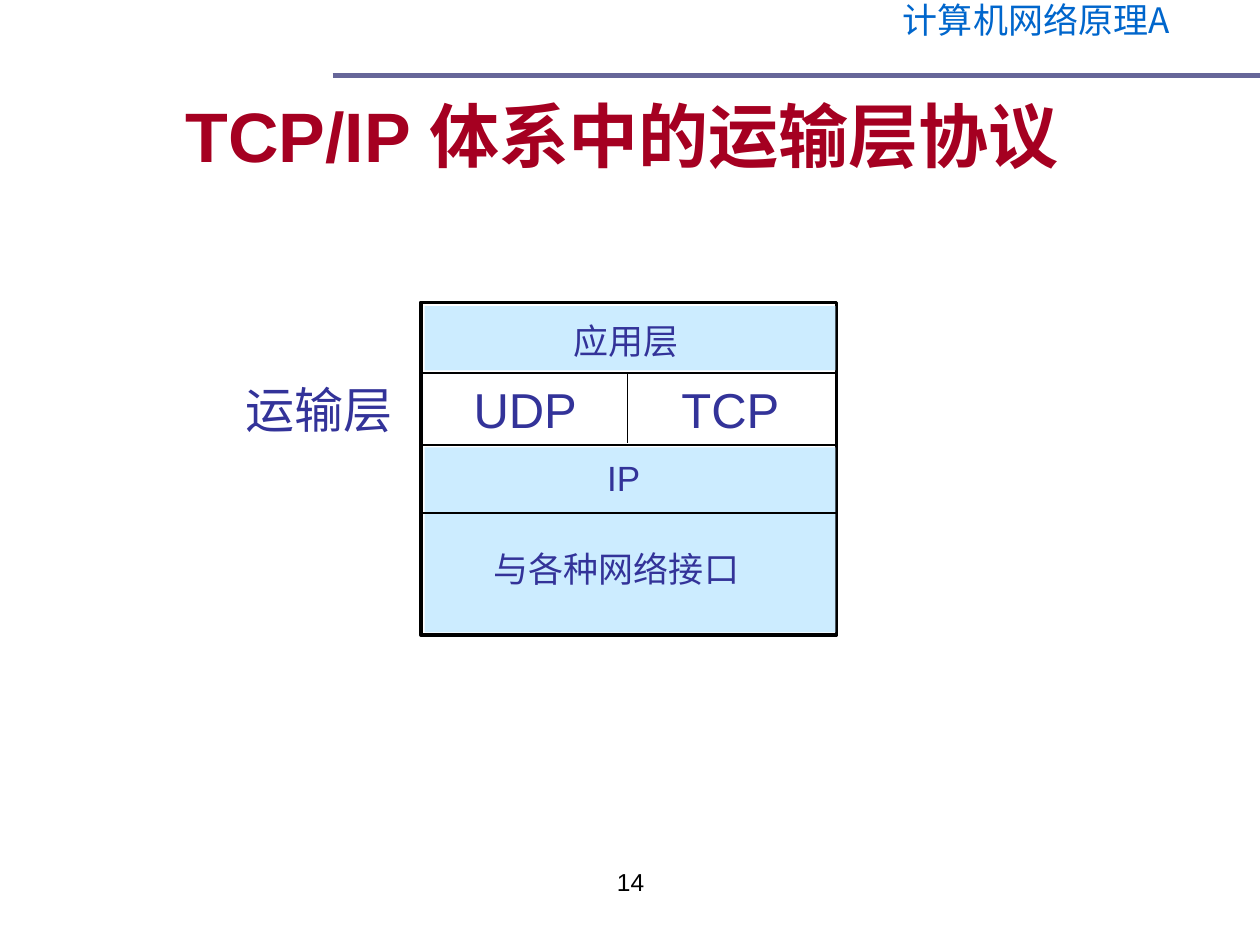
from dataclasses import dataclass
from typing import Optional

from lxml.etree import SubElement
from pptx import Presentation
from pptx.dml.color import RGBColor
from pptx.enum.shapes import MSO_CONNECTOR, MSO_SHAPE
from pptx.enum.text import MSO_ANCHOR as Anchor, PP_ALIGN as Align
from pptx.oxml.ns import qn
from pptx.slide import Slide
from pptx.util import Inches, Pt

PALE_BLUE = "CCECFF"
INDIGO = "333399"
CJK_FONT = "Noto Sans CJK SC"
STACK_LEFT, STACK_RIGHT = 3.34, 6.64
STACK_TOP, STACK_HEIGHT = 2.4, 2.64


@dataclass
class Label:
    words: str
    left: float
    top: float
    width: float
    height: float
    size: float = 20
    color: str = INDIGO
    font: str = "Arial"
    bold: bool = False
    align: Align = Align.LEFT
    anchor: Anchor = Anchor.TOP
    wrap: bool = False
    line_spacing: Optional[float] = None


@dataclass
class Panel:
    left: float
    top: float
    width: float
    height: float
    fill: str = PALE_BLUE
    border: Optional[str] = None


@dataclass
class Rule:
    x1: float
    y1: float
    x2: float
    y2: float
    color: str = "000000"
    weight: float = 1


def rgb(color: str) -> RGBColor:
    return RGBColor.from_string(color)


def draw_label(slide: Slide, label: Label) -> None:
    box = slide.shapes.add_textbox(Inches(label.left), Inches(label.top),
                                   Inches(label.width), Inches(label.height))
    frame = box.text_frame
    frame.word_wrap = label.wrap
    frame.vertical_anchor = label.anchor
    para = frame.paragraphs[0]
    para.alignment = label.align
    para.line_spacing = label.line_spacing
    span = para.add_run()
    span.text = label.words
    font = span.font
    font.size = Pt(label.size)
    font.bold = label.bold
    font.color.rgb = rgb(label.color)
    font.name = label.font
    SubElement(span._r.get_or_add_rPr(), qn("a:ea"), typeface=CJK_FONT)


def draw_panel(slide: Slide, panel: Panel) -> None:
    shape = slide.shapes.add_shape(MSO_SHAPE.RECTANGLE, Inches(panel.left), Inches(panel.top),
                                   Inches(panel.width), Inches(panel.height))
    shape.shadow.inherit = False
    shape.fill.solid()
    shape.fill.fore_color.rgb = rgb(panel.fill)
    if panel.border:
        shape.line.color.rgb = rgb(panel.border)
        shape.line.width = Pt(2)
    else:
        shape.line.fill.background()


def draw_rule(slide: Slide, rule: Rule) -> None:
    line = slide.shapes.add_connector(MSO_CONNECTOR.STRAIGHT, Inches(rule.x1), Inches(rule.y1),
                                      Inches(rule.x2), Inches(rule.y2))
    line.line.color.rgb = rgb(rule.color)
    line.line.width = Pt(rule.weight)
    SubElement(line._element.spPr, qn("a:effectLst"))


PANELS = [
    Panel(STACK_LEFT, STACK_TOP, STACK_RIGHT - STACK_LEFT, STACK_HEIGHT, "FFFFFF", "000000"),
    Panel(3.37, 2.43, 3.26, 0.51),
    Panel(3.37, 3.55, 3.26, 1.47),
]

RULES = [
    Rule(2.64, 0.6, 10, 0.6, "666699", 3),
    *(Rule(STACK_LEFT, y, STACK_RIGHT, y) for y in (2.96, 3.53, 4.07)),
    Rule(4.98, 2.97, 4.98, 3.52),
]

LABELS = [
    Label("计算机网络原理A", 6.73, 0, 2.99, 0.44, color="0066CC", font=CJK_FONT,
          align=Align.CENTER, wrap=True, line_spacing=0.8),
    Label("TCP/IP 体系中的运输层协议 ", 0.5, 0.44, 9, 1.25, 40, "A50021", bold=True,
          align=Align.CENTER, anchor=Anchor.MIDDLE, wrap=True),
    Label("应用层", 4.45, 2.49, 1.1, 0.43),
    Label("UDP", 3.66, 2.96, 1.05, 0.56, 28),
    Label("TCP", 5.31, 2.96, 1.05, 0.56, 28),
    Label("IP", 4.72, 3.57, 0.5, 0.43),
    Label("与各种网络接口", 3.82, 4.3, 2.52, 0.43, wrap=True),
    Label("运输层", 1.85, 2.96, 1.45, 0.57, 28, font="Cabin"),
    Label("14", 3.42, 6.83, 3.17, 0.52, 14, "000000", align=Align.CENTER, wrap=True),
]


def main() -> None:
    deck = Presentation()
    deck.slide_width, deck.slide_height = Inches(10), Inches(7.5)
    slide = deck.slides.add_slide(deck.slide_layouts[6])
    for panel in PANELS:
        draw_panel(slide, panel)
    for rule in RULES:
        draw_rule(slide, rule)
    for label in LABELS:
        draw_label(slide, label)
    deck.save("out.pptx")


if __name__ == "__main__":
    main()
